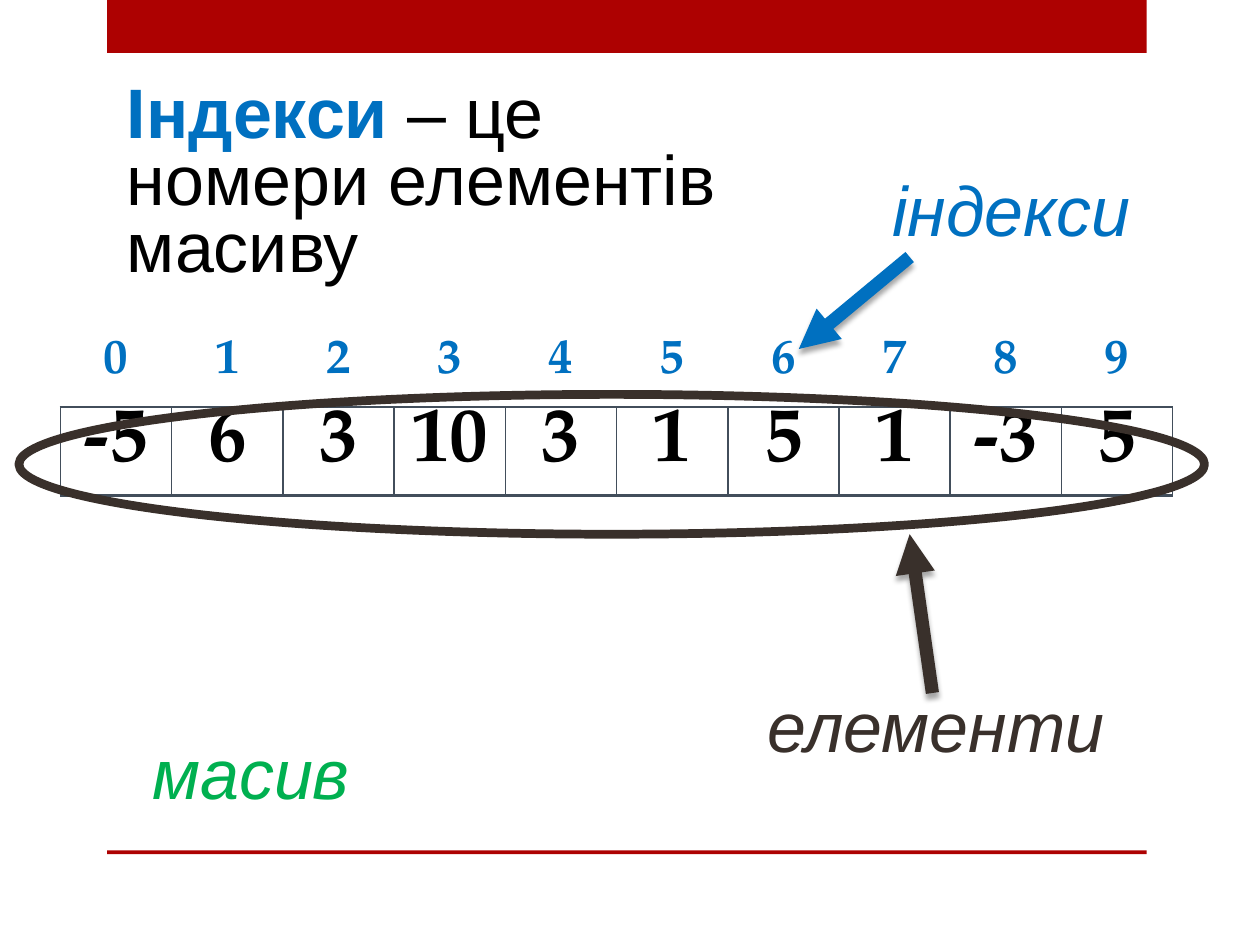
from lxml.etree import SubElement
from pptx import Presentation
from pptx.dml.color import RGBColor
from pptx.enum.shapes import MSO_CONNECTOR, MSO_SHAPE
from pptx.enum.text import MSO_AUTO_SIZE as AUTO, PP_ALIGN as ALIGN
from pptx.oxml.ns import qn
from pptx.util import Inches, Pt

COLORS = {"red": "AD0101", "blue": "0070C0", "green": "00B050",
          "brown": "39302B", "black": "000000", "border": "424E5B"}
COLS, ROWS = 100, 75
VALUES = [-5, 6, 3, 10, 3, 1, 5, 1, -3, 5]


def rgb(name):
    return RGBColor.from_string(COLORS[name])


def add_solid(parent, name):
    fill = SubElement(parent, qn("a:solidFill"))
    return SubElement(fill, qn("a:srgbClr"), val=COLORS[name])


class Board:
    """Places elements on a slide, measured in grid columns and rows."""
    text_font, digit_font = "Arial", "TeX Gyre Pagella"
    text_size, spacing = 40, 0.8

    def __init__(self, prs):
        self.col, self.row = prs.slide_width / COLS, prs.slide_height / ROWS
        self.shapes = prs.slides.add_slide(prs.slide_layouts[6]).shapes

    def grid(self, *lengths):
        """Turn alternating columns and rows into lengths."""
        return [round(n * (self.row if i % 2 else self.col))
                for i, n in enumerate(lengths)]

    def bar(self, *box):
        sp = self.shapes.add_shape(MSO_SHAPE.RECTANGLE, *self.grid(*box))
        sp.shadow.inherit = False
        sp.fill.solid()
        sp.fill.fore_color.rgb = rgb("red")
        sp.line.fill.background()

    def ring(self, color, width, *box):
        sp = self.shapes.add_shape(MSO_SHAPE.OVAL, *self.grid(*box))
        sp.shadow.inherit = False
        sp.fill.background()
        sp.line.color.rgb = rgb(color)
        sp.line.width = Pt(width)

    def text(self, runs, *box, wrap=False):
        """Write (text, color, bold, italic) runs as one paragraph."""
        tf = self.shapes.add_textbox(*self.grid(*box)).text_frame
        tf.word_wrap = wrap
        tf.auto_size = AUTO.SHAPE_TO_FIT_TEXT
        p = tf.paragraphs[0]
        p.alignment = ALIGN.LEFT if wrap else ALIGN.CENTER
        p.line_spacing = self.spacing
        p.font.name, p.font.size = self.text_font, Pt(self.text_size)
        for words, color, bold, italic in runs:
            r = p.add_run()
            r.text = words
            r.font.color.rgb = rgb(color)
            r.font.bold, r.font.italic = bold, italic

    def label(self, words, color, *box):
        self.text([(words, color, False, True)], *box)

    def arrow(self, color, *ends):
        line = self.shapes.add_connector(MSO_CONNECTOR.STRAIGHT, *self.grid(*ends))
        line.line.color.rgb = rgb(color)
        line.line.width = Pt(7.5)
        SubElement(line.line._get_or_add_ln(), qn("a:tailEnd"), type="triangle")
        effects = SubElement(line._element.spPr, qn("a:effectLst"))
        shadow = SubElement(effects, qn("a:outerShdw"), blurRad=str(Pt(3)),
                            dist=str(Pt(3)), dir="5400000", rotWithShape="0")
        clr = SubElement(shadow, qn("a:srgbClr"), val=COLORS["black"])
        SubElement(clr, qn("a:alpha"), val="35000")

    def borders(self, cell, widths):
        tc_pr = cell._tc.get_or_add_tcPr()
        for side, width in zip("LRTB", widths):
            ln = SubElement(tc_pr, qn(f"a:ln{side}"), w=str(Pt(width)))
            if width:
                add_solid(ln, "border")
            else:
                SubElement(ln, qn("a:noFill"))

    def number_row(self, numbers, size, color, widths, *box):
        table = self.shapes.add_table(1, len(numbers), *self.grid(*box)).table
        table.first_row = table.horz_banding = False
        for cell, number in zip(table.iter_cells(), numbers):
            self.borders(cell, widths)
            cell.fill.background()
            cell.text = str(number)
            p = cell.text_frame.paragraphs[0]
            p.alignment, p.line_spacing = ALIGN.CENTER, self.spacing
            p.font.name, p.font.size = self.digit_font, Pt(size)
            p.font.bold = True
            p.font.color.rgb = rgb(color)


def main():
    prs = Presentation()
    prs.slide_width, prs.slide_height = Inches(10), Inches(7.5)
    board = Board(prs)
    board.bar(8.5, 0, 82.5, 4.2)
    board.bar(8.5, 67.5, 82.5, 0.3)
    board.number_row(VALUES, 44, "black", (1, 1, 1, 2), 4.8, 32.3, 88.3, 7)
    board.number_row(range(len(VALUES)), 28, "blue", (0, 0, 0, 0),
                     4.8, 26.7, 88.3, 5.6)
    board.label("масив", "green", 11, 58.7, 17.8, 6.4)
    board.label("індекси", "blue", 69.7, 14, 21.1, 6.4)
    board.arrow("blue", 72.2, 20.4, 63.4, 27.7)
    board.label("елементи", "brown", 59.8, 55, 29, 6.4)
    board.arrow("brown", 74, 55, 72.2, 42.4)
    board.ring("brown", 5, 1.5, 31.3, 94.1, 11.1)
    board.text([("Індекси ", "blue", True, False),
                ("– це номери елементів масиву", "black", False, False)],
               9.1, 6.2, 55.3, 17.2, wrap=True)
    prs.save("out.pptx")


if __name__ == "__main__":
    main()
